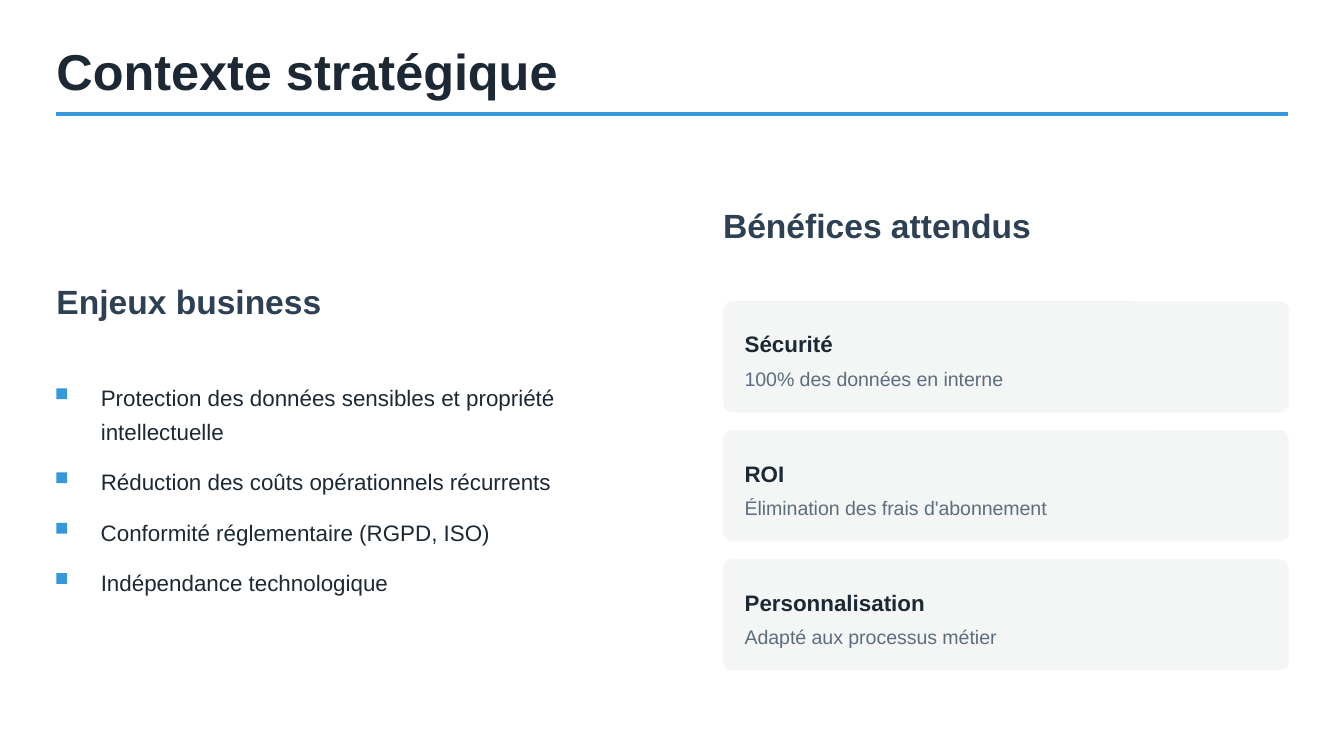
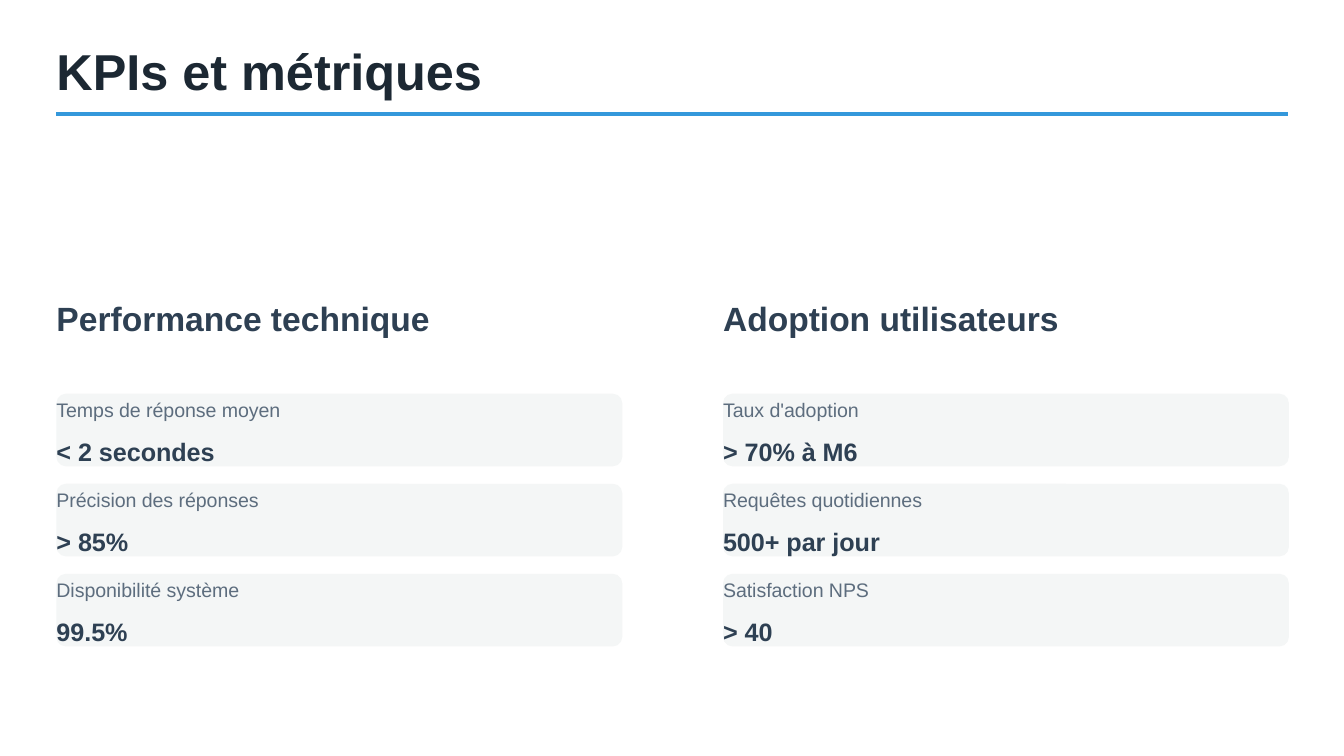
import pptx
import pptx.util
import pptx.dml.color
import pptx.enum.shapes
import pptx.oxml.ns
import lxml.etree

Inches = pptx.util.Inches
Pt = pptx.util.Pt
RGBColor = pptx.dml.color.RGBColor
SHAPES = pptx.enum.shapes.MSO_SHAPE

# Shared look
FONT = "Arial"
INK = RGBColor(0x1C, 0x28, 0x33)
NAVY = RGBColor(0x2E, 0x40, 0x53)
GREY = RGBColor(0x5D, 0x6D, 0x7E)
BLUE = RGBColor(0x34, 0x98, 0xDB)
PALE = RGBColor(0xF4, 0xF6, 0xF6)
WHITE = RGBColor(0xFF, 0xFF, 0xFF)

LEFT, RIGHT = 0.42, 5.38
COLUMN_WIDTH, CARD_WIDTH = 4.29, 4.21
CORNER = 0.07

# Text styles: size, line spacing, colour, bold, space before, space after
TITLE = (27, 30, INK, True, 0, 0)
HEADING = (18, 24, NAVY, True, 0, 12)
BODY = (12, 18, INK, False, 0, 0)
CARD_NAME = (12, 18, INK, True, 0, 0)
CARD_DETAIL = (10.5, 15, GREY, False, 3, 0)
KPI_LABEL = (10.5, 15, GREY, False, 0, 0)
KPI_VALUE = (13.5, 21, NAVY, True, 3, 0)


def add_text(slide, text, left, top, width, height, style):
    size, spacing, color, bold, before, after = style
    frame = slide.shapes.add_textbox(
        Inches(left), Inches(top), Inches(width), Inches(height)).text_frame
    frame.word_wrap = True
    frame.margin_left = frame.margin_right = 0
    frame.margin_top = frame.margin_bottom = 0
    paragraph = frame.paragraphs[0]
    paragraph.line_spacing = Pt(spacing)
    paragraph.space_before = Pt(before)
    paragraph.space_after = Pt(after)
    run = paragraph.add_run()
    run.text = text
    run.font.name = FONT
    run.font.size = Pt(size)
    run.font.bold = bold
    run.font.color.rgb = color


def add_block(slide, preset, left, top, width, height, color):
    block = slide.shapes.add_shape(
        preset, Inches(left), Inches(top), Inches(width), Inches(height))
    block.shadow.inherit = False
    block.fill.solid()
    block.fill.fore_color.rgb = color
    block.line.fill.background()
    if preset == SHAPES.ROUNDED_RECTANGLE:
        block.adjustments[0] = CORNER / height


deck = pptx.Presentation()
deck.slide_width = Inches(10)
deck.slide_height = Inches(10) * 9 // 16

# Background, title and rule of both slides
slides = []
for title in ("Contexte stratégique", "KPIs et métriques"):
    slide = deck.slides.add_slide(deck.slide_layouts[6])
    slide.background.fill.solid()
    slide.background.fill.fore_color.rgb = WHITE
    rule = slide.shapes.add_connector(
        pptx.enum.shapes.MSO_CONNECTOR.STRAIGHT,
        Inches(LEFT), Inches(0.85), Inches(9.58), Inches(0.85))
    rule.line.color.rgb = BLUE
    rule.line.width = Pt(2.25)
    lxml.etree.SubElement(rule._element.spPr, pptx.oxml.ns.qn("a:effectLst"))
    add_text(slide, title, LEFT, 0.33, 4.69, 0.42, TITLE)
    slides.append(slide)
context, kpis = slides

# Slide 1: business stakes
add_text(context, "Enjeux business", LEFT, 2.06, COLUMN_WIDTH, 0.33, HEADING)
stakes = [
    ("Protection des données sensibles et propriété intellectuelle", 3.95, 2),
    ("Réduction des coûts opérationnels récurrents", 3.42, 1),
    ("Conformité réglementaire (RGPD, ISO)", 2.96, 1),
    ("Indépendance technologique", 2.18, 1),
]
top = 2.81
for stake, width, lines in stakes:
    height = 0.25 * lines
    add_block(context, SHAPES.RECTANGLE, LEFT, top + 0.08, 0.08, 0.08, BLUE)
    add_text(context, stake, 0.75, top, width, height, BODY)
    top += height + 0.125

# Slide 1: expected benefits
add_text(context, "Bénéfices attendus", RIGHT, 1.49, COLUMN_WIDTH, 0.33, HEADING)
benefits = [
    ("Sécurité", "100% des données en interne"),
    ("ROI", "Élimination des frais d'abonnement"),
    ("Personnalisation", "Adapté aux processus métier"),
]
for row, (benefit, detail) in enumerate(benefits):
    top = 2.24 + 0.96 * row
    add_block(context, SHAPES.ROUNDED_RECTANGLE, RIGHT, top, CARD_WIDTH, 0.83, PALE)
    add_text(context, benefit, RIGHT + 0.16, top + 0.17, 3.95, 0.25, CARD_NAME)
    add_text(context, detail, RIGHT + 0.16, top + 0.46, 3.95, 0.21, CARD_DETAIL)

# Slide 2: two columns of indicators
indicators = [
    (LEFT, "Performance technique", [
        ("Temps de réponse moyen", "< 2 secondes"),
        ("Précision des réponses", "> 85%"),
        ("Disponibilité système", "99.5%"),
    ]),
    (RIGHT, "Adoption utilisateurs", [
        ("Taux d'adoption", "> 70% à M6"),
        ("Requêtes quotidiennes", "500+ par jour"),
        ("Satisfaction NPS", "> 40"),
    ]),
]
for left, heading, metrics in indicators:
    add_text(kpis, heading, left, 2.18, COLUMN_WIDTH, 0.33, HEADING)
    for row, (label, value) in enumerate(metrics):
        top = 2.93 + 0.67 * row
        add_block(kpis, SHAPES.ROUNDED_RECTANGLE, left, top, CARD_WIDTH, 0.54, PALE)
        add_text(kpis, label, left, top, COLUMN_WIDTH, 0.21, KPI_LABEL)
        add_text(kpis, value, left, top + 0.25, COLUMN_WIDTH, 0.29, KPI_VALUE)

deck.save("out.pptx")
